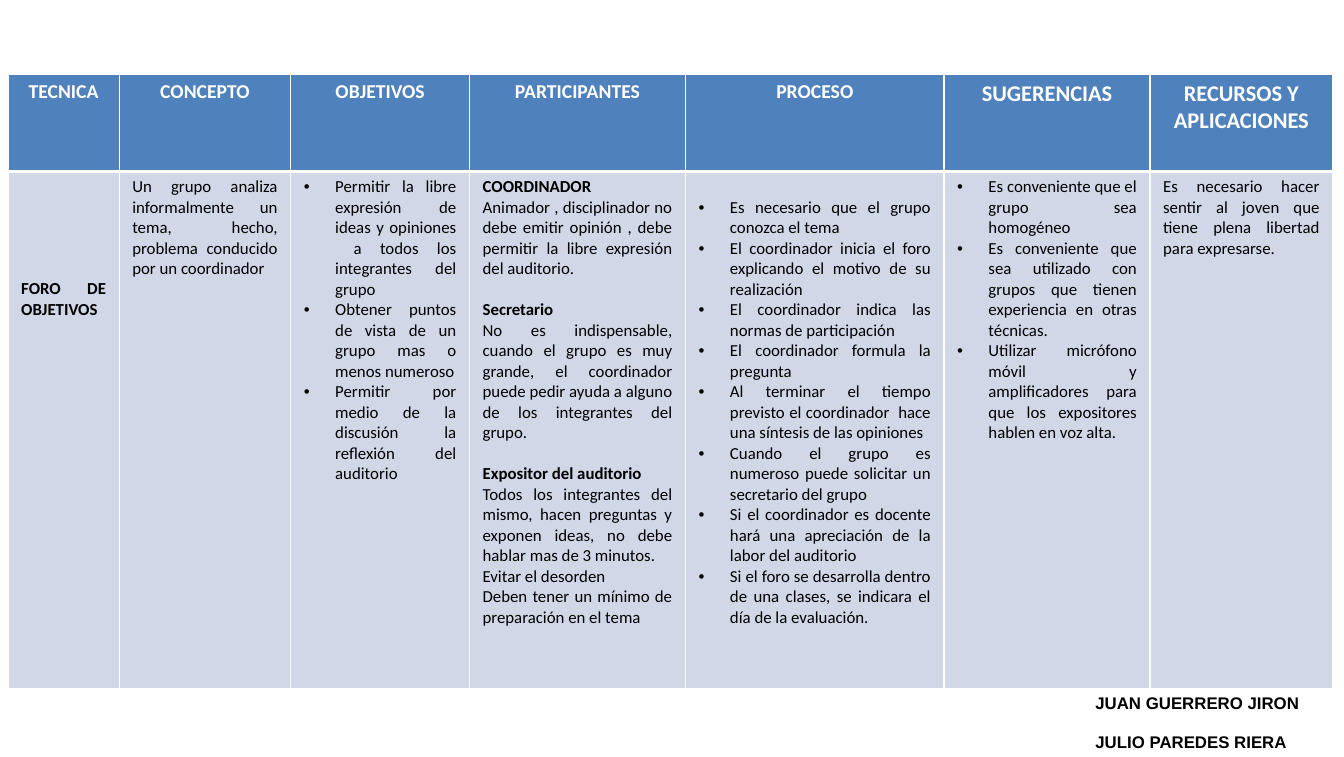
"""Build the slide that describes the forum technique as a seven-column table."""
from lxml.etree import SubElement
from pptx import Presentation
from pptx.dml.color import RGBColor
from pptx.enum.text import MSO_ANCHOR, PP_ALIGN
from pptx.oxml.ns import qn
from pptx.util import Inches, Pt

HEADERS = [
    ("TECNICA", "small"),
    ("CONCEPTO", "small"),
    ("OBJETIVOS", "small"),
    ("PARTICIPANTES", "small"),
    ("PROCESO", "small"),
    ("SUGERENCIAS", "large"),
    ("RECURSOS Y APLICACIONES", "large"),
]
BODY = [
    [("bold", "FORO DE OBJETIVOS")],
    [("plain", "Un grupo analiza informalmente  un tema, hecho, problema conducido por un coordinador")],
    [
        ("bullet", "Permitir la libre expresión de ideas y opiniones  a todos los integrantes del grupo"),
        ("bullet", "Obtener puntos de vista de un grupo mas o menos numeroso"),
        ("bullet", "Permitir por medio de la discusión  la reflexión del auditorio"),
    ],
    [
        ("bold", "COORDINADOR"),
        ("plain", "Animador , disciplinador no debe emitir opinión , debe permitir la libre expresión del auditorio."),
        ("bold", "Secretario"),
        ("plain", "No es indispensable, cuando el grupo es muy grande, el coordinador puede pedir ayuda "
                  "a alguno de los integrantes del grupo."),
        ("bold", "Expositor del auditorio"),
        ("plain", "Todos los integrantes del mismo, hacen preguntas y exponen ideas, "
                  "no debe hablar mas de 3 minutos."),
        ("plain", "Evitar el desorden"),
        ("plain", "Deben tener un mínimo de preparación en el tema"),
    ],
    [
        ("bullet", "Es necesario que el grupo conozca el tema"),
        ("bullet", "El coordinador inicia el foro explicando el motivo de su realización"),
        ("bullet", "El coordinador indica las normas de participación"),
        ("bullet", "El coordinador formula la pregunta"),
        ("bullet", "Al terminar el tiempo previsto el coordinador  hace una síntesis de las opiniones"),
        ("bullet", "Cuando el grupo es numeroso puede solicitar un secretario del grupo"),
        ("bullet", "Si el coordinador es docente hará una apreciación de la labor del auditorio"),
        ("bullet", "Si el foro se desarrolla dentro de una clases, se indicara el día de la evaluación."),
    ],
    [
        ("bullet", "Es conveniente que el grupo sea homogéneo"),
        ("bullet", "Es conveniente que sea utilizado con grupos que tienen experiencia en otras técnicas."),
        ("bullet", "Utilizar micrófono móvil y amplificadores para que los expositores hablen en voz alta."),
    ],
    [("plain", "Es necesario hacer sentir al joven que tiene plena libertad para expresarse.")],
]
AUTHORS = ["JUAN GUERRERO JIRON", "JULIO PAREDES RIERA"]

THEME = {
    "white": "FFFFFF", "black": "000000", "header": "4F81BD", "body": "D0D8E8",
    "small": 14, "large": 16, "text": 12,
    "table_font": "Calibri", "author_font": "Arial",
}
SLIDE_W, SLIDE_H = 13.31, 7.5
TABLE_LEFT, TABLE_TOP = 0.08, 0.74
COLS = [1.1, 1.7, 1.77, 2.14, 2.56, 2.04, 1.81]
ROWS = [0.96, 5.12]
LEAD_LINES = {0: 5, 4: 1}
LINE = 14.6
PAD_X, PAD_Y = 0.13, 0.05
INDENT = 0.31
THIN, THICK = 1, 3
AUTHOR_BOX = (10.75, 6.77, SLIDE_W - 10.75, SLIDE_H - 6.77)
AUTHOR_GAP = 13.8


def set_all(obj, values):
    for name, value in values.items():
        setattr(obj, name, value)


def style_font(font, size, color, face, bold):
    set_all(font, {"size": Pt(size), "name": face, "bold": bold})
    font.color.rgb = RGBColor.from_string(color)


def add_bullet(p):
    pPr = p._p.get_or_add_pPr()
    pPr.set("marL", str(Inches(INDENT)))
    pPr.set("indent", str(-Inches(INDENT)))
    SubElement(pPr, qn("a:buFont"), typeface="Arial")
    SubElement(pPr, qn("a:buChar"), char="•")


def style_cell(cell, fill, top, bottom, lead=0):
    tcPr = cell._tc.get_or_add_tcPr()
    for side, width in {"L": THIN, "R": THIN, "T": top, "B": bottom}.items():
        ln = SubElement(tcPr, qn(f"a:ln{side}"), w=str(Pt(width)))
        SubElement(SubElement(ln, qn("a:solidFill")), qn("a:srgbClr"), val=THEME["white"])
    cell.fill.solid()
    cell.fill.fore_color.rgb = RGBColor.from_string(fill)
    set_all(cell, {
        "margin_left": Inches(PAD_X), "margin_right": Inches(PAD_X),
        "margin_top": Inches(PAD_Y) + Pt(lead * LINE), "margin_bottom": Inches(PAD_Y),
        "vertical_anchor": MSO_ANCHOR.TOP,
    })


def paragraphs(tf, count):
    return [tf.paragraphs[0]] + [tf.add_paragraph() for _ in range(count - 1)]


def add_table(s):
    box = (TABLE_LEFT, TABLE_TOP, sum(COLS), sum(ROWS))
    table = s.shapes.add_table(len(ROWS), len(COLS), *map(Inches, box)).table
    for col, width in zip(table.columns, COLS):
        col.width = Inches(width)
    for row, height in zip(table.rows, ROWS):
        row.height = Inches(height)

    for i, (title, size) in enumerate(HEADERS):
        cell = table.cell(0, i)
        style_cell(cell, THEME["header"], THIN, THICK)
        p = cell.text_frame.paragraphs[0]
        set_all(p, {"text": title, "alignment": PP_ALIGN.CENTER})
        style_font(p.runs[0].font, THEME[size], THEME["white"], THEME["table_font"], True)

    for i, items in enumerate(BODY):
        cell = table.cell(1, i)
        style_cell(cell, THEME["body"], THICK, THIN, LEAD_LINES.get(i, 0))
        for n, (p, (kind, text)) in enumerate(zip(paragraphs(cell.text_frame, len(items)), items)):
            if kind == "bullet":
                add_bullet(p)
            set_all(p, {"text": text, "alignment": PP_ALIGN.JUSTIFY})
            if kind == "bold" and n:
                p.space_before = Pt(LINE)
            style_font(p.runs[0].font, THEME["text"], THEME["black"], THEME["table_font"], kind == "bold")


def add_authors(s):
    tf = s.shapes.add_textbox(*map(Inches, AUTHOR_BOX)).text_frame
    set_all(tf, {"word_wrap": True, "vertical_anchor": MSO_ANCHOR.BOTTOM})
    for n, (p, name) in enumerate(zip(paragraphs(tf, len(AUTHORS)), AUTHORS)):
        p.text = name
        if n:
            p.space_before = Pt(AUTHOR_GAP)
        style_font(p.runs[0].font, THEME["text"], THEME["black"], THEME["author_font"], True)


def main():
    prs = Presentation()
    set_all(prs, {"slide_width": Inches(SLIDE_W), "slide_height": Inches(SLIDE_H)})
    s = prs.slides.add_slide(prs.slide_layouts[6])
    add_table(s)
    add_authors(s)
    prs.save("out.pptx")


if __name__ == "__main__":
    main()
